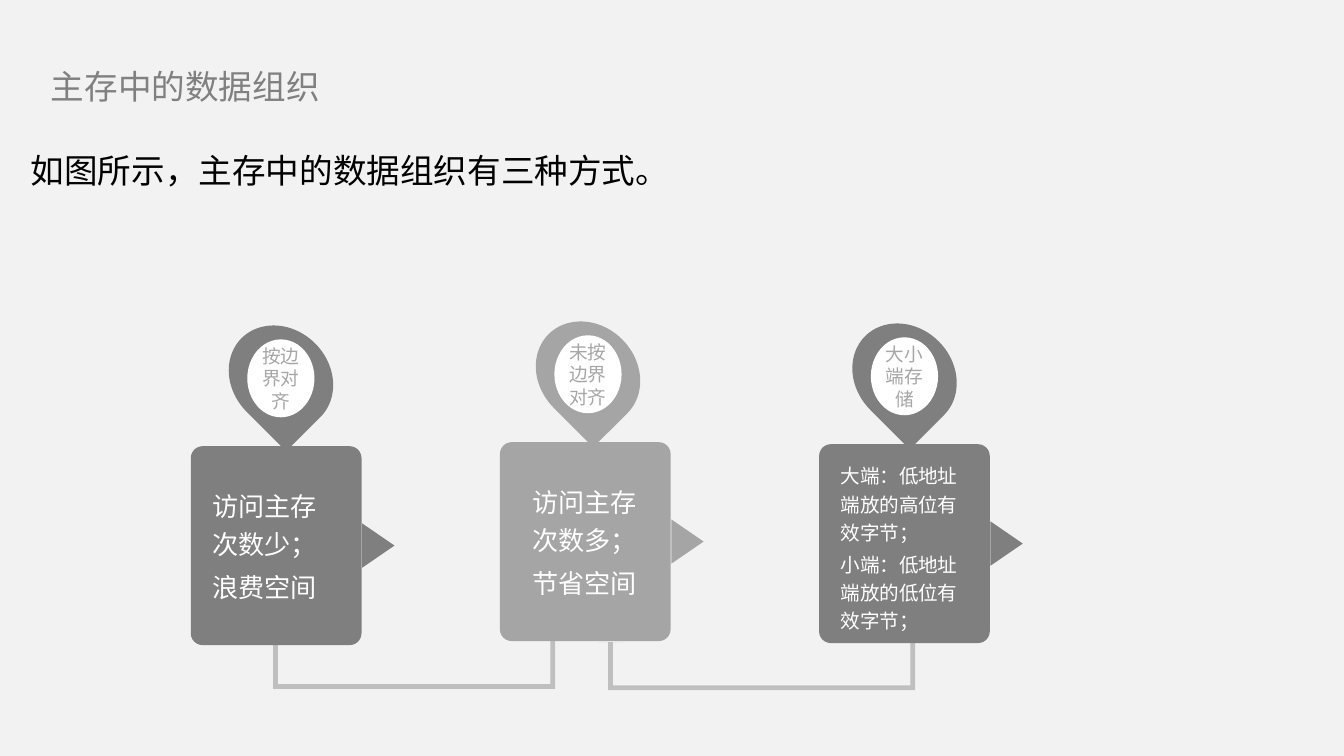
from dataclasses import dataclass

from lxml import etree
from pptx import Presentation
from pptx import util as u
from pptx.dml.color import RGBColor
from pptx.enum import shapes, text
from pptx.oxml.ns import qn

FONT = "Noto Sans CJK SC"
COLOURS = {
    "background": "F2F2F2",
    "title": "808080",
    "lead": "000000",
    "dark": "7F7F7F",
    "light": "A5A5A5",
    "link": "BFBFBF",
    "label": "A6A6A6",
    "white": "FFFFFF",
}
SLIDE_WIDTH = u.Inches(10)
SLIDE_HEIGHT = SLIDE_WIDTH * 9 // 16
UNIT = SLIDE_WIDTH / 100  # the grid has 100 columns, and its rows are as high

CARD_SIZE = (12.7, 14.8)
POINTER_SIZE = (3.3, 2.4)
PIN_SIZE = (7.2, 8.3)
DISC_SIZE = (5, 5.8)
PIN_RISE = 9.25
NOTE_WIDTH = 9.5


@dataclass(frozen=True)
class Card:
    left: float
    top: float
    colour: str
    label: str
    pin_left: float
    lines: tuple[str, ...]
    note_left: float
    note_top: float
    note_height: float
    note_size: float


@dataclass(frozen=True)
class Link:
    left: float
    width: float
    height: float
    reach: float


CARDS = (
    Card(14.2, 33.2, "dark", "按边界对齐", 17.3,
         ("访问主存次数少；", "浪费空间"), 15.8, 36.05, 8.7, 14),
    Card(37.2, 32.9, "light", "未按边界对齐", 40.15,
         ("访问主存次数多；", "节省空间"), 39.6, 35.75, 8.7, 14),
    Card(60.95, 33.05, "dark", "大小端存储", 63.7,
         ("大端：低地址端放的高位有效字节；", "小端：低地址端放的低位有效字节；"),
         62.55, 34.2, 12.9, 10.5),
)
LINKS = (Link(19.6, 21.7, 3.6, 1), Link(44.5, 23.6, 3.7, 0.963))
LINK_TOP = 47.65


def colour_of(name: str) -> RGBColor:
    return RGBColor.from_string(COLOURS[name])


def grid(*cells: float) -> list[int]:
    return [round(cell * UNIT) for cell in cells]


def add_solid(page, kind, left: float, top: float, size: tuple[float, float],
              colour: str, rotation: float = 0, adjust: tuple[float, ...] = ()):
    """Add a filled preset shape without line or shadow."""
    shape = page.shapes.add_shape(kind, *grid(left, top, *size))
    shape.shadow.inherit = False
    shape.fill.solid()
    shape.fill.fore_color.rgb = colour_of(colour)
    shape.line.fill.background()
    shape.rotation = rotation
    for index, value in enumerate(adjust):
        shape.adjustments[index] = value
    return shape


def write(frame, lines: tuple[str, ...], size: float, colour: str,
          spacing: float | None = None, before: float = 0, align=None) -> None:
    frame.text = "\n".join(lines)
    for para in frame.paragraphs:
        para.alignment = align
        para.line_spacing = spacing
        para.space_before = u.Pt(before)
        for span in para.runs:
            span.font.size = u.Pt(size)
            span.font.color.rgb = colour_of(colour)
            span.font.name = FONT
            east_asian = etree.SubElement(span.font._element, qn("a:ea"))
            east_asian.set("typeface", FONT)


def clear_margins(frame) -> None:
    frame.margin_left = frame.margin_right = 0
    frame.margin_top = frame.margin_bottom = 0


def add_text_frame(page, left: float, top: float, width: float, height: float,
                   wrap: bool = True):
    """Add a growing text box and return its text frame."""
    frame = page.shapes.add_textbox(*grid(left, top, width, height)).text_frame
    frame.word_wrap = wrap
    frame.auto_size = text.MSO_AUTO_SIZE.SHAPE_TO_FIT_TEXT
    return frame


def add_link(page, link: Link) -> None:
    add_solid(page, shapes.MSO_SHAPE.U_TURN_ARROW, link.left, LINK_TOP,
              (link.width, link.height), "link", 180,
              (0.097, 0.25, 0, 0, link.reach))


def add_card(page, card: Card) -> None:
    preset = shapes.MSO_SHAPE
    add_solid(page, preset.ISOSCELES_TRIANGLE, card.left + 12.3, card.top + 6.2,
              POINTER_SIZE, card.colour, 90)
    add_solid(page, preset.ROUNDED_RECTANGLE, card.left, card.top,
              CARD_SIZE, card.colour, adjust=(0.069,))

    pin_top = card.top - PIN_RISE
    add_solid(page, preset.TEAR, card.pin_left, pin_top, PIN_SIZE, card.colour, 135)
    disc = add_solid(page, preset.OVAL, card.pin_left + 1.1, pin_top + 1.3,
                     DISC_SIZE, "white")
    clear_margins(disc.text_frame)
    disc.text_frame.vertical_anchor = text.MSO_ANCHOR.MIDDLE
    write(disc.text_frame, (card.label,), 10, "label", align=text.PP_ALIGN.CENTER)

    note = add_text_frame(page, card.note_left, card.note_top,
                          NOTE_WIDTH, card.note_height)
    clear_margins(note)
    write(note, card.lines, card.note_size, "white", 1.2, card.note_size * 0.2)


def main() -> None:
    deck = Presentation()
    deck.slide_width, deck.slide_height = SLIDE_WIDTH, SLIDE_HEIGHT
    page = deck.slides.add_slide(deck.slide_layouts[6])
    page.background.fill.solid()
    page.background.fill.fore_color.rgb = colour_of("background")

    title = add_text_frame(page, 2.8, 2.9, 29.5, 5)
    write(title, ("主存中的数据组织",), 18, "title", 1.5, 5.6)
    lead = add_text_frame(page, 1.3, 10.65, 50, 4, wrap=False)
    write(lead, ("如图所示，主存中的数据组织有三种方式。",), 18, "lead")

    for link in LINKS:
        add_link(page, link)
    for card in CARDS:
        add_card(page, card)
    deck.save("out.pptx")


if __name__ == "__main__":
    main()
